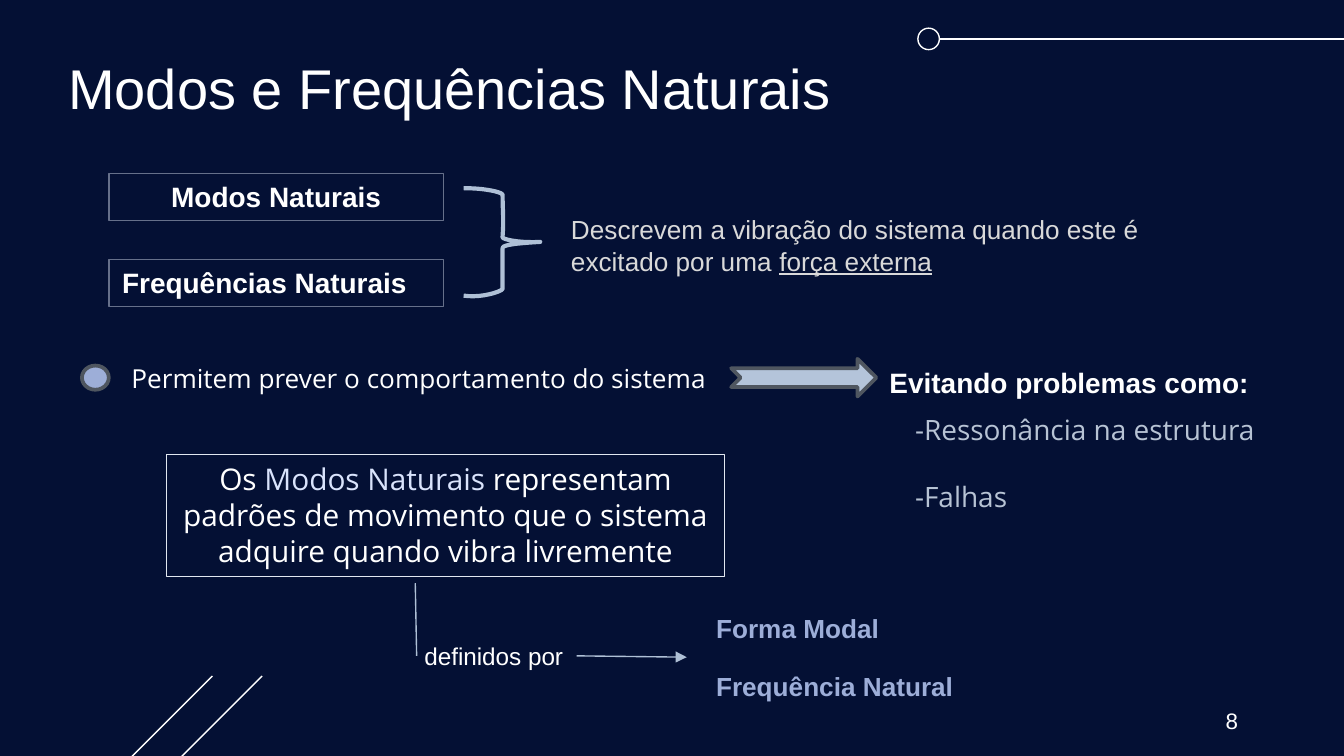
from lxml import etree
from pptx import Presentation
from pptx.dml.color import RGBColor
from pptx.enum import shapes, text
from pptx.oxml import ns
from pptx.util import Inches, Pt

HUE = {
    "night": "041034", "white": "FFFFFF", "dusk": "66708A", "steel": "AFC0D6",
    "grey": "D9D9D9", "lilac": "9DAED8", "slate": "4F5660", "mist": "B4C4DA",
    "haze": "B7C3D4", "pale": "E1E7F0", "ice": "D9E3FC",
}
SANS, OPEN = "Arial", "Open Sans"
LEFT, MID, RIGHT = text.PP_ALIGN.LEFT, text.PP_ALIGN.CENTER, text.PP_ALIGN.RIGHT
FORM = shapes.MSO_SHAPE

# preset, place, fill, line, line width
MARKS = [
    (FORM.OVAL, (6.83, 0.21, 0.16, 0.16), None, "white", 0.75),
    (FORM.OVAL, (0.61, 2.72, 0.2, 0.18), "lilac", "slate", 2),
    (FORM.NOTCHED_RIGHT_ARROW, (5.44, 2.67, 1.08, 0.28), "mist", "slate", 2),
]

# start, end, colour, arrowhead
LINES = [
    ((6.99, 0.29), (10, 0.29), "white", False),
    ((0.33, 6.28), (1.58, 5.03), "white", False),
    ((0.7, 6.28), (1.95, 5.03), "white", False),
    ((3.09, 4.34), (3.1, 4.88), "steel", False),
    ((4.29, 4.88), (5.11, 4.89), "steel", True),
]

# place, font, size, bold, alignment, border, paragraphs of (words, colour, underline)
TEXTS = [
    ((0.41, 0.35, 8.43, 0.63), SANS, 30, False, LEFT, None,
     [[("Modos e Frequências Naturais", "white", False)]]),
    ((0.81, 1.29, 2.49, 0.35), SANS, 15, True, MID, "dusk",
     [[("Modos Naturais", "white", False)]]),
    ((0.81, 1.93, 2.49, 0.35), SANS, 15, True, LEFT, "dusk",
     [[("Frequências Naturais", "white", False)]]),
    ((4.15, 1.54, 4.58, 0.57), SANS, 14, False, LEFT, None,
     [[("Descrevem a vibração do sistema quando este é excitado por uma ", "grey", False),
       ("força externa", "grey", True)]]),
    ((0.88, 2.65, 4.84, 0.34), OPEN, 14, False, LEFT, None,
     [[("Permitem prever o comportamento do sistema", "white", False)]]),
    ((6.52, 2.67, 2.96, 0.35), SANS, 15, True, LEFT, None,
     [[("Evitando problemas como:", "white", False)]]),
    ((6.71, 3.02, 2.95, 0.86), OPEN, 15, False, LEFT, None,
     [[("-Ressonância na estrutura", "haze", False)], [("-Falhas", "haze", False)]]),
    ((1.24, 3.38, 4.15, 0.91), OPEN, 16, False, MID, "pale",
     [[("Os ", "white", False), ("Modos Naturais", "ice", False),
       (" representam padrões de movimento que o sistema adquire quando vibra livremente",
        "white", False)]]),
    ((3.06, 4.72, 1.36, 0.32), SANS, 13, False, LEFT, None,
     [[("definidos por", "white", False)]]),
    ((5.23, 4.51, 2.17, 0.34), SANS, 14, True, LEFT, None,
     [[("Forma Modal", "lilac", False)]]),
    ((5.23, 4.94, 2.17, 0.34), SANS, 14, True, LEFT, None,
     [[("Frequência Natural", "lilac", False)]]),
    ((7.06, 5.21, 2.25, 0.3), SANS, 12, False, RIGHT, None,
     [[("8", "white", False)]]),
]
GAP = 18

# start of the brace, then two controls and an end for each curve
START = (3.45, 1.4)
CURVES = [
    ((3.61, 1.4), (3.74, 1.43), (3.74, 1.45)),
    ((3.74, 1.57), (3.75, 1.63), (3.74, 1.76)),
    ((3.72, 1.78), (3.87, 1.81), (4.02, 1.8)),
    ((3.86, 1.81), (3.73, 1.82), (3.74, 1.85)),
    ((3.74, 1.93), (3.74, 2.01), (3.74, 2.15)),
    ((3.73, 2.17), (3.58, 2.22), (3.45, 2.2)),
]
STEPS = 10


def tint(name):
    return RGBColor.from_string(HUE[name])


def box(place):
    return [Inches(n) for n in place]


def ink(shape, fill, line, width):
    shape.shadow.inherit = False
    if fill:
        shape.fill.solid()
        shape.fill.fore_color.rgb = tint(fill)
    else:
        shape.fill.background()
    shape.line.color.rgb = tint(line)
    shape.line.width = Pt(width)


def draw(slide, start, end, hue, head):
    line = slide.shapes.add_connector(
        shapes.MSO_CONNECTOR.STRAIGHT, *box(start), *box(end))
    line.line.color.rgb = tint(hue)
    line.line.width = Pt(0.75)
    if head:
        etree.SubElement(line.line._get_or_add_ln(), ns.qn("a:tailEnd"), type="triangle")
    etree.SubElement(line._element.spPr, ns.qn("a:effectLst"))


def write(slide, place, font, size, bold, align, edge, paras):
    if edge:
        shape = slide.shapes.add_shape(FORM.RECTANGLE, *box(place))
        ink(shape, None, edge, 0.75)
    else:
        shape = slide.shapes.add_textbox(*box(place))
    frame = shape.text_frame
    frame.word_wrap = True
    frame.vertical_anchor = text.MSO_ANCHOR.TOP
    for i, runs in enumerate(paras):
        para = frame.add_paragraph() if i else frame.paragraphs[0]
        para.alignment = align
        if i:
            para.space_before = Pt(GAP)
        for words, hue, under in runs:
            run = para.add_run()
            run.text = words
            run.font.name, run.font.size = font, Pt(size)
            run.font.bold, run.font.underline = bold, under
            run.font.color.rgb = tint(hue)


def trace(start, curves):
    """Points along a chain of cubic curves."""
    spots = []
    for a, b, end in curves:
        for k in range(1, STEPS + 1):
            t = k / STEPS
            s = 1 - t
            spots.append(box(
                s**3 * p + 3 * s * s * t * q + 3 * s * t * t * r + t**3 * e
                for p, q, r, e in zip(start, a, b, end)))
        start = end
    return spots


def main():
    deck = Presentation()
    deck.slide_width, deck.slide_height = Inches(10), Inches(10) * 9 // 16
    slide = deck.slides.add_slide(deck.slide_layouts[6])
    slide.background.fill.solid()
    slide.background.fill.fore_color.rgb = tint("night")

    for line in LINES:
        draw(slide, *line)
    for form, place, *style in MARKS:
        ink(slide.shapes.add_shape(form, *box(place)), *style)
    pen = slide.shapes.build_freeform(*box(START))
    pen.add_line_segments(trace(START, CURVES), close=False)
    ink(pen.convert_to_shape(), None, "steel", 2.25)
    for item in TEXTS:
        write(slide, *item)
    deck.save("out.pptx")


if __name__ == "__main__":
    main()
